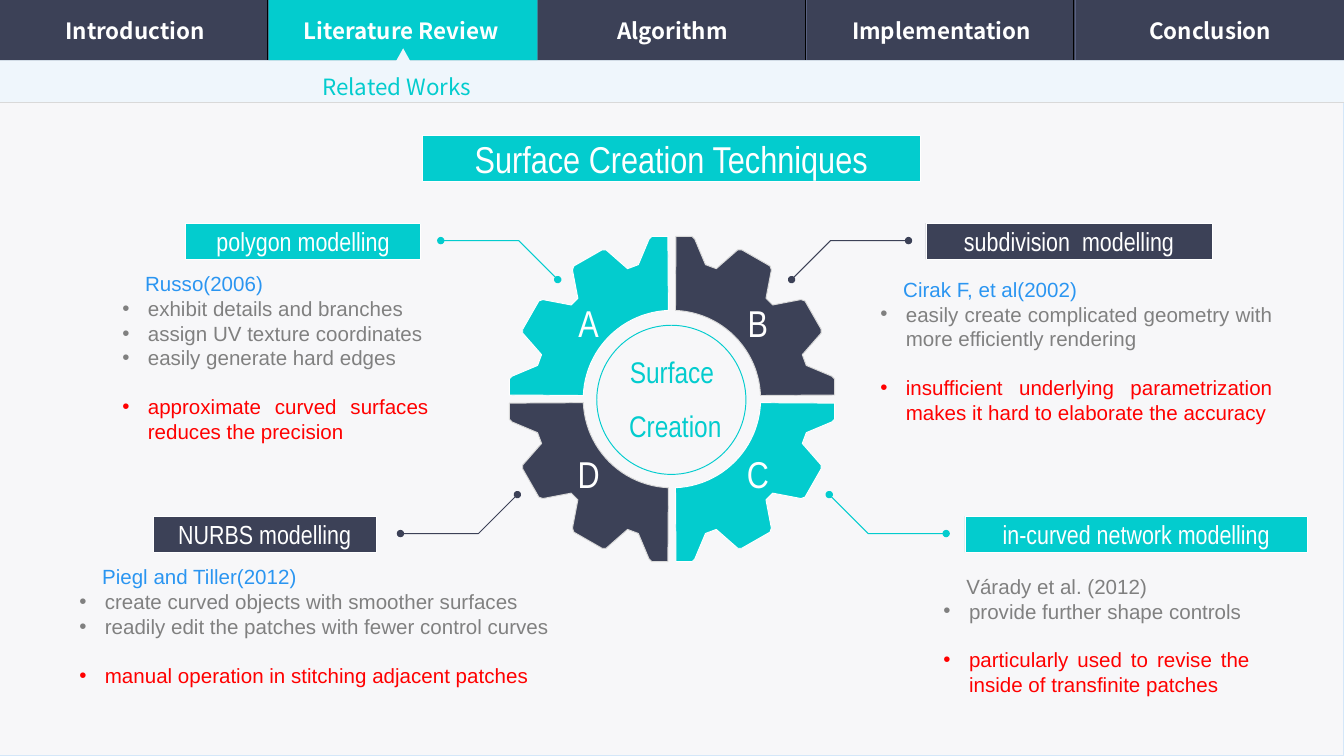
from dataclasses import dataclass
from math import cos, pi, sin

from lxml.etree import SubElement
from pptx import Presentation
from pptx.dml.color import RGBColor
from pptx.enum.shapes import MSO_CONNECTOR, MSO_SHAPE
from pptx.enum.text import MSO_ANCHOR, MSO_AUTO_SIZE, PP_ALIGN
from pptx.oxml.ns import qn
from pptx.util import Inches, Pt


@dataclass(frozen=True)
class Theme:
    teal: str = "03CCCE"
    navy: str = "3C4157"
    white: str = "FFFFFF"
    paper: str = "F7F7F9"
    paper_edge: str = "D4E7F9"
    band: str = "EFF6FC"
    rule: str = "D9D9D9"
    black: str = "000000"
    groove: str = "596181"
    grey: str = "808080"
    cite: str = "2A95F1"
    warning: str = "FF0000"
    nav_font: str = "Noto Sans CJK SC"
    head_font: str = "Arial Narrow"
    body_font: str = "Arial"
    title_size: int = 20
    hub_size: int = 16
    label_size: int = 14
    nav_size: int = 12
    body_size: int = 11
    hairline: float = 0.5


THEME = Theme()
TABS = ["Introduction", "Literature Review", "Algorithm", "Implementation", "Conclusion"]
PAGE_WIDTH = 10
PAGE_HEIGHT = PAGE_WIDTH * 9 / 16
TAB_HEIGHT, BAND_BOTTOM = 0.45, 0.76


def paint(shape, fill=None, line=None):
    shape.shadow.inherit = False
    if fill:
        shape.fill.solid()
        shape.fill.fore_color.rgb = RGBColor.from_string(fill)
    else:
        shape.fill.background()
    if line:
        shape.line.color.rgb = RGBColor.from_string(line)
        shape.line.width = Pt(THEME.hairline)
    else:
        shape.line.fill.background()
    return shape


def add_block(page, kind, box, fill=None, line=None):
    return paint(page.shapes.add_shape(kind, *map(Inches, box)), fill, line)


def add_path(page, points, closed=True, fill=None, line=None):
    points = [(Inches(x), Inches(y)) for x, y in points]
    builder = page.shapes.build_freeform(*points[0])
    builder.add_line_segments(points[1:], close=closed)
    return paint(builder.convert_to_shape(), fill, line)


def add_rule(page, start, end, color, width=THEME.hairline):
    rule = page.shapes.add_connector(MSO_CONNECTOR.STRAIGHT, *map(Inches, start + end))
    rule.line.color.rgb = RGBColor.from_string(color)
    rule.line.width = Pt(width)
    SubElement(rule.element.spPr, qn("a:effectLst"))


def style(para, font, size, color, bold=False, align=PP_ALIGN.CENTER):
    para.alignment = align
    para.font.name = font
    para.font.size = Pt(size)
    para.font.bold = bold
    para.font.color.rgb = RGBColor.from_string(color)


def write(shape, text, *look, wrap=True, **options):
    """Put one styled line, centred vertically, into a shape."""
    frame = shape.text_frame
    frame.text = text
    frame.word_wrap = wrap
    frame.auto_size = MSO_AUTO_SIZE.NONE
    frame.vertical_anchor = MSO_ANCHOR.MIDDLE
    style(frame.paragraphs[0], *look, **options)
    return frame


def add_text(page, box, text, *look, **options):
    return write(page.shapes.add_textbox(*map(Inches, box)), text, *look, **options)


def add_navigation(page, width, active):
    """Tab bar with the active tab's notch, and the band below it."""
    step = width / len(TABS)
    add_block(page, MSO_SHAPE.RECTANGLE, (0, 0, width, TAB_HEIGHT), THEME.navy)
    for index in range(1, len(TABS)):
        x = step * index - 0.01
        add_rule(page, (x, 0), (x, TAB_HEIGHT), THEME.black)
        add_rule(page, (x + 0.01, 0), (x + 0.01, TAB_HEIGHT), THEME.groove, 0.75)
    add_block(page, MSO_SHAPE.RECTANGLE, (step * active, 0, step, TAB_HEIGHT), THEME.teal)
    middle = step * (active + 0.5)
    add_path(page, [(middle, 0.36), (middle + 0.05, TAB_HEIGHT), (width, TAB_HEIGHT),
                    (width, BAND_BOTTOM), (0, BAND_BOTTOM), (0, TAB_HEIGHT),
                    (middle - 0.05, TAB_HEIGHT)], fill=THEME.band)
    add_rule(page, (0, BAND_BOTTOM), (width, BAND_BOTTOM), THEME.rule)
    for index, name in enumerate(TABS):
        left = step * index + (-0.01 if index == active else 0.01)
        add_text(page, (left, 0.07, 1.99, 0.31), name,
                 THEME.nav_font, THEME.nav_size, THEME.white, bold=True)
    frame = add_text(page, (2.3, 0.41, 1.36, 0.37), "Related Works", THEME.nav_font,
                     THEME.nav_size, THEME.teal, wrap=False, align=PP_ALIGN.LEFT)
    frame.paragraphs[0].line_spacing = 1.5


def gear_quarter():
    """Outline of one quarter, as offsets from the gear's centre."""
    half = [(0.03, 1.21), (0.15, 1.21), (0.17, 1.19), (0.25, 1), (0.33, 0.97),
            (0.49, 1.11), (0.52, 1.11), (0.73, 0.99), (0.74, 0.96), (0.7, 0.75)]
    teeth = half + [(y, x) for x, y in reversed(half)]
    radius, steps, margin = 0.66, 24, 0.04
    angles = [margin + (pi / 2 - 2 * margin) * i / steps for i in range(steps + 1)]
    return teeth + [(radius * cos(a), radius * sin(a)) for a in angles]


def add_gear(page, center_x, center_y):
    quarters = [("A", -1, -1, THEME.teal, THEME.white), ("B", 1, -1, THEME.navy, THEME.rule),
                ("C", 1, 1, THEME.teal, THEME.white), ("D", -1, 1, THEME.navy, THEME.rule)]
    for letter, side, down, fill, line in quarters:
        add_path(page, [(center_x + side * x, center_y + down * y) for x, y in gear_quarter()],
                 fill=fill, line=line)
        add_text(page, (center_x + side * 0.63 - 0.17, center_y + down * 0.56 - 0.23, 0.36, 0.44),
                 letter, THEME.head_font, THEME.title_size, THEME.white, wrap=False)
    add_block(page, MSO_SHAPE.OVAL, (center_x - 0.56, center_y - 0.55, 1.11, 1.11),
              line=THEME.teal)
    look = THEME.head_font, THEME.hub_size, THEME.teal
    frame = add_text(page, (center_x - 0.52, center_y - 0.47, 1.04, 0.75), "Surface",
                     *look, wrap=False)
    frame.vertical_anchor = MSO_ANCHOR.TOP
    frame.margin_top = frame.margin_bottom = 0
    second = frame.add_paragraph()
    second.text = "Creation"
    indent(second, 0.05)
    style(second, *look)
    for para in frame.paragraphs:
        para.line_spacing = 1.5


def indent(para, left, bullet=None):
    properties = para._p.get_or_add_pPr()
    properties.set("marL", str(Inches(left)))
    properties.set("indent", str(Inches(-left if bullet else 0)))
    if bullet:
        SubElement(properties, qn("a:buFont")).set("typeface", THEME.body_font)
        SubElement(properties, qn("a:buChar")).set("char", bullet)


def add_leader(page, start, side, down, color):
    """Elbowed line from the gear to a label, with a dot at each end."""
    x, y = start
    bend_x, bend_y = x + side * 0.29, y + down * 0.29
    leader = add_path(page, [start, (bend_x, bend_y), (bend_x + side * 0.58, bend_y)],
                      closed=False, line=color)
    outline = leader.element.spPr.find(qn("a:ln"))
    for name in ("a:headEnd", "a:tailEnd"):
        end = SubElement(outline, qn(name))
        for key, value in (("type", "oval"), ("w", "sm"), ("len", "sm")):
            end.set(key, value)


def add_technique(page, label_box, list_box, color, label, source, source_color, merits, drawback):
    bar = add_block(page, MSO_SHAPE.RECTANGLE, label_box, color, THEME.white)
    write(bar, label, THEME.head_font, THEME.label_size, THEME.white)
    frame = page.shapes.add_textbox(*map(Inches, list_box)).text_frame
    frame.word_wrap = True
    frame.margin_left = frame.margin_right = frame.margin_top = frame.margin_bottom = 0
    lines = [(source, source_color), *((merit, THEME.grey) for merit in merits),
             (drawback, THEME.warning)]
    for index, (text, text_color) in enumerate(lines):
        para = frame.add_paragraph() if index else frame.paragraphs[0]
        para.text = text
        indent(para, 0.19 if index else 0.17, "•" if index else None)
        style(para, THEME.body_font, THEME.body_size, text_color, align=PP_ALIGN.JUSTIFY)
    para.space_before = Pt(13)


def add_title(page, box, text):
    title = page.shapes.title
    title.left, title.top, title.width, title.height = map(Inches, box)
    paint(title, THEME.teal, THEME.white)
    write(title, text, THEME.head_font, THEME.title_size, THEME.white)
    title.element.getparent().append(title.element)  # bring to front


def main():
    deck = Presentation()
    deck.slide_width, deck.slide_height = Inches(PAGE_WIDTH), Inches(PAGE_HEIGHT)
    page = deck.slides.add_slide(deck.slide_layouts[5])
    add_block(page, MSO_SHAPE.RECTANGLE,
              (0, TAB_HEIGHT, PAGE_WIDTH, PAGE_HEIGHT - TAB_HEIGHT), THEME.paper, THEME.paper_edge)
    add_navigation(page, PAGE_WIDTH, active=1)
    add_gear(page, 5, 2.97)
    add_leader(page, (4.15, 2.08), -1, -1, THEME.teal)
    add_leader(page, (5.89, 2.08), 1, -1, THEME.navy)
    add_leader(page, (6.17, 3.68), 1, 1, THEME.teal)
    add_leader(page, (3.85, 3.68), -1, 1, THEME.navy)
    add_technique(page, (1.38, 1.66, 1.75, 0.27), (0.91, 2.02, 2.28, 1.3), THEME.teal,
                  "polygon modelling", "Russo(2006)", THEME.cite,
                  ["exhibit details and branches", "assign UV texture coordinates",
                   "easily generate hard edges"],
                  "approximate curved surfaces reduces the precision")
    add_technique(page, (6.89, 1.66, 2.13, 0.27), (6.55, 2.06, 2.92, 1.11), THEME.navy,
                  "subdivision  modelling", "Cirak F, et al(2002)", THEME.cite,
                  ["easily create complicated geometry with more efficiently rendering"],
                  "insufficient underlying parametrization makes it hard to elaborate the accuracy")
    add_technique(page, (7.18, 3.84, 2.55, 0.27), (7.02, 4.27, 2.28, 0.93), THEME.teal,
                  "in-curved network modelling", "Várady et al. (2012)", THEME.grey,
                  ["provide further shape controls"],
                  "particularly used to revise the inside of transfinite patches")
    add_technique(page, (1.14, 3.84, 1.66, 0.27), (0.59, 4.2, 3.56, 0.93), THEME.navy,
                  "NURBS modelling", "Piegl and Tiller(2012)", THEME.cite,
                  ["create curved objects with smoother surfaces",
                   "readily edit the patches with fewer control curves"],
                  "manual operation in stitching adjacent patches")
    add_title(page, (3.14, 1.01, 3.71, 0.34), "Surface Creation Techniques")
    deck.save("out.pptx")


if __name__ == "__main__":
    main()
